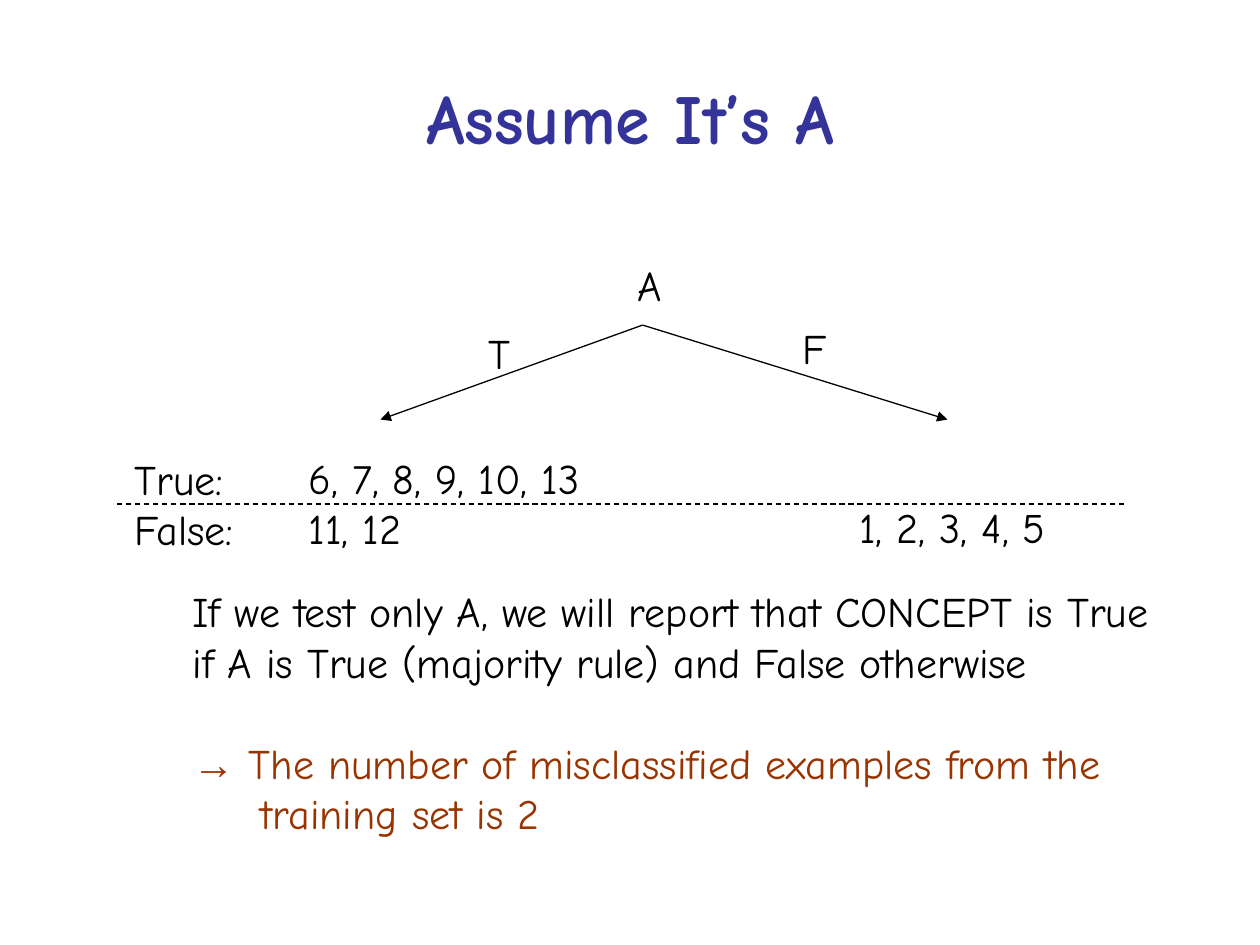
from lxml import etree
from pptx import Presentation
from pptx.dml.color import RGBColor
from pptx.enum.dml import MSO_LINE
from pptx.enum.shapes import MSO_CONNECTOR
from pptx.enum.text import MSO_ANCHOR, PP_ALIGN
from pptx.oxml.ns import qn
from pptx.util import Inches, Pt

LINE = MSO_CONNECTOR.STRAIGHT
DASH = MSO_LINE.DASH
CENTER = PP_ALIGN.CENTER
MIDDLE = MSO_ANCHOR.MIDDLE

WIDE, HIGH = Inches(10), Inches(7.5)
COLS, ROWS = 100, 75
FACE = "Comic Neue"
BLACK, BLUE, RUST = "000000", "333399", "993300"
BODY = {"size": Pt(24), "name": FACE, "bold": False}
HEAD = {"size": Pt(40), "name": FACE, "bold": True}
HANG = Inches(0.54)

TITLE = ("Assume It’s A", (5, 3, 90, 12.5))
LABELS = [
    (["A"], (49.6, 20.1, 3.9, 5)),
    (["T"], (37.8, 25.5, 3.7, 5)),
    (["F"], (62.7, 25.1, 3.9, 5)),
    (["True:", "False:"], (9.7, 35.5, 10, 9)),
    (["6, 7, 8, 9, 10, 13", "11, 12"], (23.5, 35.4, 23.5, 9)),
    (["1, 2, 3, 4, 5"], (67.2, 39.3, 16.8, 5)),
]
NOTE = [
    "If we test only A, we will report that CONCEPT is True",
    "if A is True (majority rule) and False otherwise",
]
RESULT = ["The number of misclassified examples from the", "training set is 2"]
NOTE_AT = (14.3, 46, 78.1, 21)
ROOT = (51, 25.8)
LEAVES = [(30.2, 33.3), (75.2, 33.3)]
RULE = ((9.3, 40), (89.3, 40))


def color(code):
    return RGBColor.from_string(code)


def place(col, row):
    return round(WIDE * col / COLS), round(HIGH * row / ROWS)


def style(font, form, code):
    for key, value in form.items():
        setattr(font, key, value)
    font.color.rgb = color(code)


def write(para, text, code=BLACK, **extra):
    run = para.add_run()
    run.text = text
    style(run.font, {**BODY, **extra}, code)


def write_lines(para, lines, code=BLACK):
    for i, text in enumerate(lines):
        if i:
            para.add_line_break()
        write(para, text, code)


def add_box(slide, at):
    frame = slide.shapes.add_textbox(*place(*at[:2]), *place(*at[2:])).text_frame
    frame.word_wrap = False
    return frame


def add_line(slide, start, end, arrow=False):
    link = slide.shapes.add_connector(LINE, *place(*start), *place(*end))
    link.line.color.rgb = color(BLACK)
    link.line.width = Pt(0.75)
    if arrow:
        tail = etree.SubElement(link.line._get_or_add_ln(), qn("a:tailEnd"))
        tail.set("type", "triangle")
    else:
        link.line.dash_style = DASH
    etree.SubElement(link._element.spPr, qn("a:effectLst"))


def add_title(slide):
    text, at = TITLE
    title = slide.shapes.title
    title.left, title.top = place(*at[:2])
    title.width, title.height = place(*at[2:])
    frame = title.text_frame
    frame.text = text
    frame.vertical_anchor = MIDDLE
    para = frame.paragraphs[0]
    para.alignment = CENTER
    style(para.runs[0].font, HEAD, BLUE)


def add_note(slide):
    frame = add_box(slide, NOTE_AT)
    write_lines(frame.paragraphs[0], NOTE)
    para = frame.add_paragraph()
    props = para._p.get_or_add_pPr()
    props.set("marL", str(HANG))
    props.set("indent", str(-HANG))
    para.space_before = Pt(29)
    write(para, "→", RUST, name="Arial")
    write(para, " ", RUST)
    write_lines(para, RESULT, RUST)


def main():
    deck = Presentation()
    deck.slide_width, deck.slide_height = WIDE, HIGH
    slide = deck.slides.add_slide(deck.slide_layouts[5])
    add_title(slide)
    for leaf in LEAVES:
        add_line(slide, ROOT, leaf, arrow=True)
    add_line(slide, *RULE)
    for rows, at in LABELS:
        frame = add_box(slide, at)
        for i, text in enumerate(rows):
            write(frame.add_paragraph() if i else frame.paragraphs[0], text)
    add_note(slide)
    deck.save("out.pptx")


if __name__ == "__main__":
    main()
